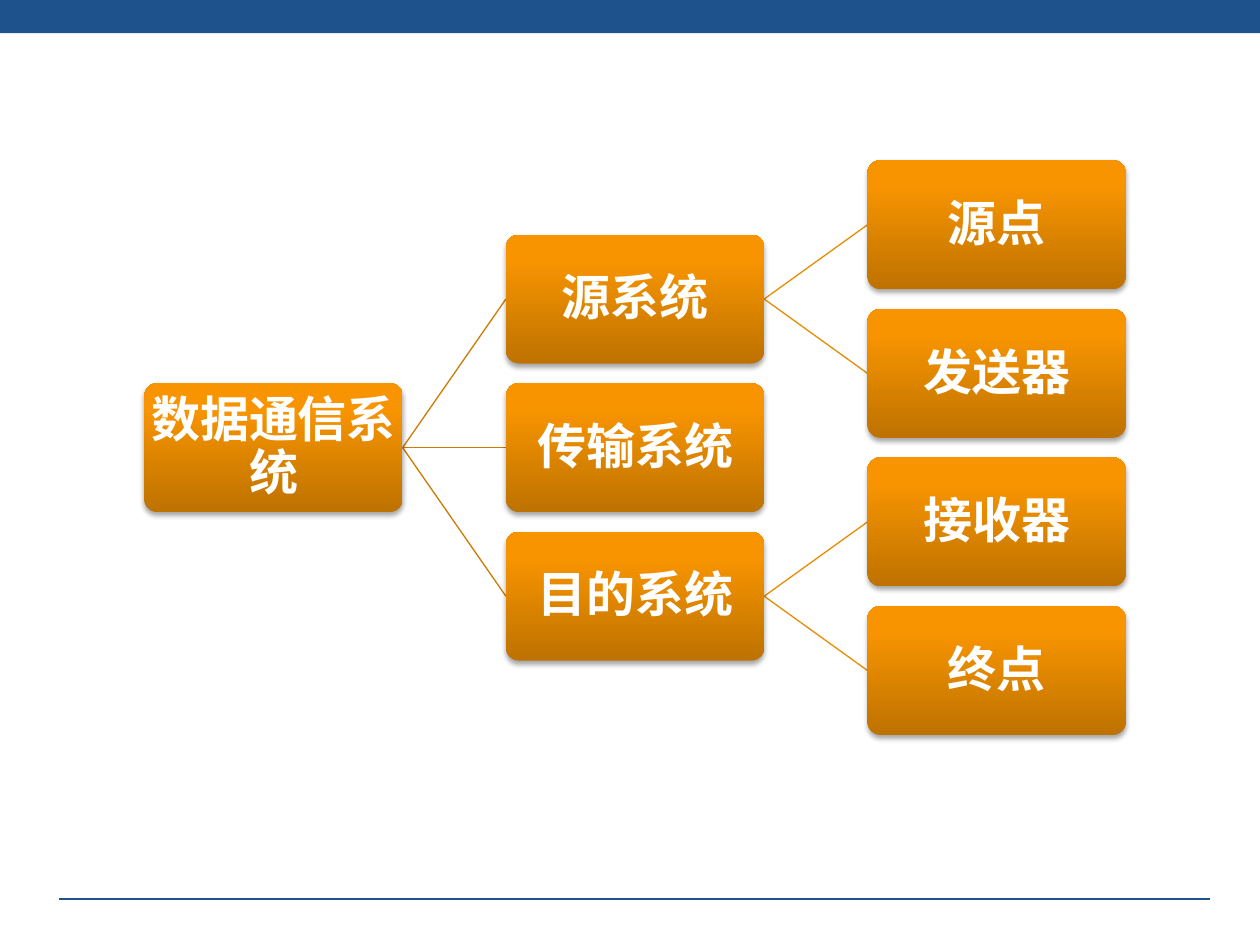
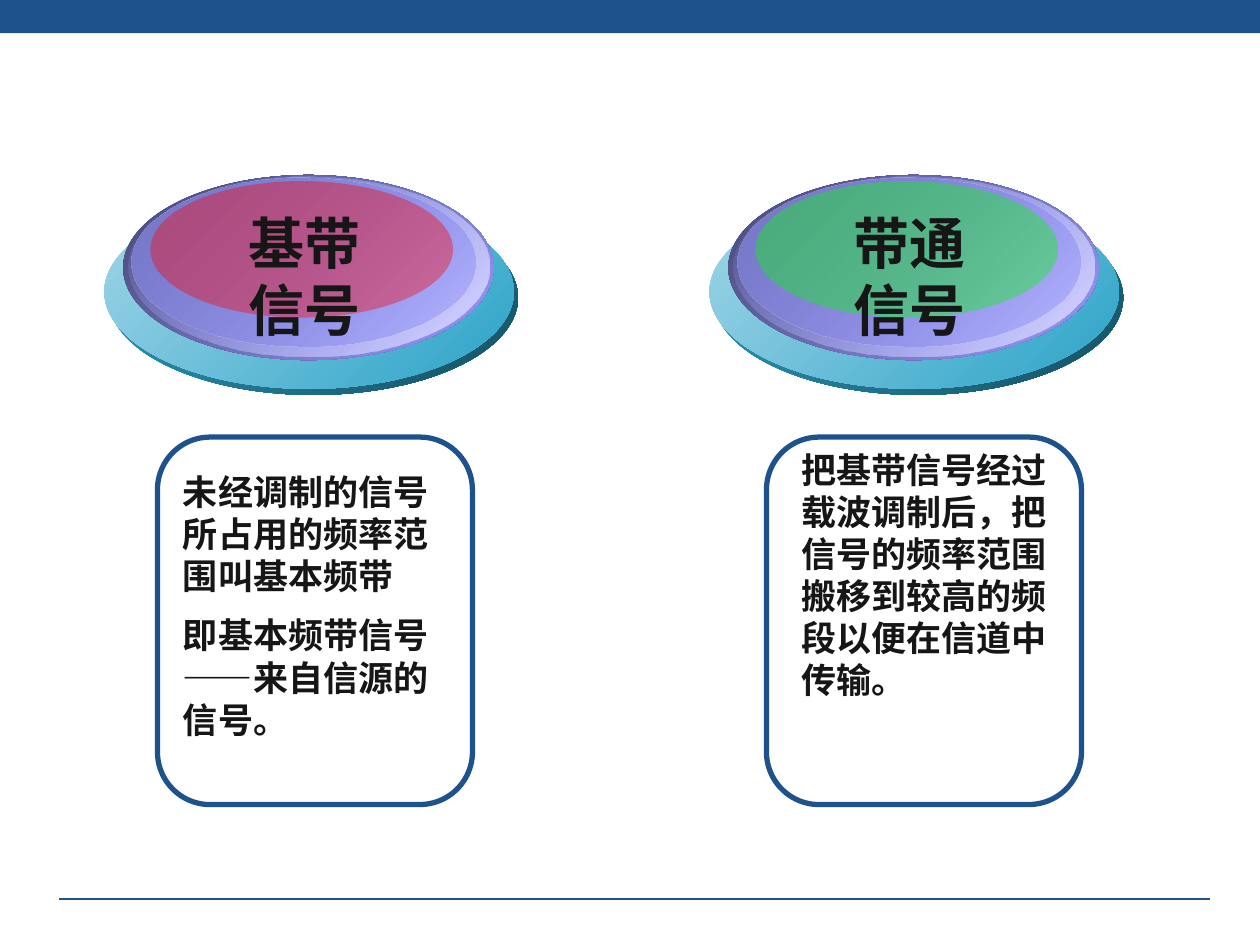
import pptx
import pptx.util
import pptx.dml.color
import pptx.enum.shapes
import pptx.enum.text
import pptx.oxml
import pptx.oxml.ns

Pt = pptx.util.Pt
RGB = pptx.dml.color.RGBColor.from_string
SHAPE = pptx.enum.shapes.MSO_SHAPE
STRAIGHT = pptx.enum.shapes.MSO_CONNECTOR.STRAIGHT
ALIGN = pptx.enum.text.PP_ALIGN
ANCHOR = pptx.enum.text.MSO_ANCHOR
qn = pptx.oxml.ns.qn
NAMESPACE = pptx.oxml.ns.nsdecls("a")

COLORS = {
    "blue": "1D528D", "white": "FFFFFF", "ink": "161616", "black": "000000",
    "orange_dark": "BE7200", "orange": "F79400", "orange_light": "F89500",
    "trunk": "CC7B00", "branch": "E78B00",
    "teal_light": "A1D6E7", "teal": "2CA3C8", "teal_dark": "154F61",
    "violet_dark": "474776", "violet_mid": "7979CA", "violet": "9999FF",
    "violet_light": "DBDBFF", "red": "FF0000", "green": "00FF00",
}


def add_filled(page, kind, bounds, stops, angle=0):
    """Add a shape without outline; stops are (position, colour, opacity)."""
    shape = page.shapes.add_shape(kind, *map(Pt, bounds))
    shape.shadow.inherit = False
    shape.line.fill.background()
    shape.fill.background()
    tints = [f'<a:srgbClr val="{COLORS[color]}"><a:alpha val="{opacity * 1000}"/></a:srgbClr>'
             for _, color, opacity in stops]
    if len(stops) == 1:
        fill = f"<a:solidFill {NAMESPACE}>{tints[0]}</a:solidFill>"
    else:
        marks = "".join(f'<a:gs pos="{stop[0] * 1000}">{tint}</a:gs>'
                        for stop, tint in zip(stops, tints))
        fill = (f'<a:gradFill {NAMESPACE} rotWithShape="1"><a:gsLst>{marks}</a:gsLst>'
                f'<a:lin ang="{angle * 60000}" scaled="0"/></a:gradFill>')
    properties = shape._element.spPr
    properties.replace(properties.find(qn("a:noFill")), pptx.oxml.parse_xml(fill))
    return shape


def write(shape, texts, size, pitch, color, align, margins=(7.2, 3.6)):
    """Fill a shape with bold paragraphs of one style."""
    frame = shape.text_frame
    frame.word_wrap = True
    frame.margin_left = frame.margin_right = Pt(margins[0])
    frame.margin_top = frame.margin_bottom = Pt(margins[1])
    frame.text = "\n".join(texts)
    for para in frame.paragraphs:
        para.alignment = align
        para.line_spacing = Pt(pitch)
        para.font.name = "Arial"
        para.font.size = Pt(size)
        para.font.bold = True
        para.font.color.rgb = RGB(COLORS[color])
    for para in frame.paragraphs[:-1]:
        para.space_after = Pt(10)


deck = pptx.Presentation()
deck.slide_width, deck.slide_height = Pt(720), Pt(540)
tree_page, signal_page = [deck.slides.add_slide(deck.slide_layouts[6]) for _ in range(2)]

# Lines: page, from, to, colour, width; footer rules come first
lines = [(page, (33.8, 513.8), (691.2, 513.8), "blue", 1)
         for page in (tree_page, signal_page)]

# Tree layout: text, column, row, row of the parent
NODE_WIDTH, NODE_HEIGHT = 147.6, 73.7
TREE_LEFT, TREE_TOP, COLUMN_STEP, ROW_STEP = 82.5, 91.6, 206.6, 84.9
nodes = [
    ("数据通信系统", 0, 1.5, None),
    ("源系统", 1, 0.5, 1.5), ("传输系统", 1, 1.5, 1.5), ("目的系统", 1, 2.5, 1.5),
    ("源点", 2, 0, 0.5), ("发送器", 2, 1, 0.5),
    ("接收器", 2, 2, 2.5), ("终点", 2, 3, 2.5),
]
first_middle = TREE_TOP + NODE_HEIGHT / 2
for text, column, row, parent_row in nodes:
    if parent_row is not None:
        left = TREE_LEFT + column * COLUMN_STEP
        start = (left - COLUMN_STEP + NODE_WIDTH, first_middle + parent_row * ROW_STEP)
        end = (left, first_middle + row * ROW_STEP)
        lines.append((tree_page, start, end, "trunk" if column == 1 else "branch", 0.75))

# Top bands
for page in (tree_page, signal_page):
    add_filled(page, SHAPE.RECTANGLE, (0, 0, 720, 18.9), [(0, "blue", 100)])

# Draw footer rules and tree branches
for page, start, end, color, width in lines:
    line = page.shapes.add_connector(STRAIGHT, *map(Pt, start + end))
    line.line.color.rgb = RGB(COLORS[color])
    line.line.width = Pt(width)
    line._element.spPr.append(pptx.oxml.parse_xml(f"<a:effectLst {NAMESPACE}/>"))

# Tree nodes
for text, column, row, _ in nodes:
    bounds = (TREE_LEFT + column * COLUMN_STEP, TREE_TOP + row * ROW_STEP,
              NODE_WIDTH, NODE_HEIGHT)
    node = add_filled(tree_page, SHAPE.ROUNDED_RECTANGLE, bounds,
                      [(0, "orange_dark", 100), (80, "orange", 100),
                       (100, "orange_light", 100)], 270)
    node.adjustments[0] = 0.1
    node._element.spPr.find(qn("a:effectLst")).append(pptx.oxml.parse_xml(
        f'<a:outerShdw {NAMESPACE} blurRad="{Pt(3.1)}" dist="{Pt(1.8)}" dir="5400000" '
        f'rotWithShape="0"><a:srgbClr val="{COLORS["black"]}"><a:alpha val="35000"/>'
        '</a:srgbClr></a:outerShdw>'))
    node.text_frame.vertical_anchor = ANCHOR.MIDDLE
    write(node, [text], 28, 30.3, "white", ALIGN.CENTER, (0.5, 3))

# Signal buttons: bounds from the left disc edge, gradient stops
discs = [
    ((2.4, 114.7, 234, 111), [(0, "teal", 100), (100, "teal_dark", 100)]),
    ((0, 111.2, 234, 111), [(0, "teal_light", 100), (100, "teal", 100)]),
    ((10.8, 100, 211.7, 105.8), [(0, "violet_dark", 100), (100, "violet", 100)]),
    ((13.7, 100.8, 206.5, 103), [(0, "violet", 0), (100, "violet_light", 100)]),
    ((15.8, 101.5, 196.5, 96.5), [(0, "violet_mid", 100), (100, "violet", 48)]),
]
# Signal kinds: name, cap colour, disc left, frame left, text left, text top, texts
signals = [
    ("基带信号", "red", 59.6, 90, 97.5, 265.3,
     ["未经调制的信号所占用的频率范围叫基本频带", "即基本频带信号——来自信源的信号。"]),
    ("带通信号", "green", 405.4, 438, 450.7, 252.7,
     ["把基带信号经过载波调制后，把信号的频率范围搬移到较高的频段以便在信道中传输。"]),
]
for name, cap_color, disc_left, frame_left, text_left, text_top, texts in signals:
    border = signal_page.shapes.add_shape(
        SHAPE.ROUNDED_RECTANGLE, Pt(frame_left), Pt(249.8), Pt(180), Pt(210))
    border.shadow.inherit = False
    border.adjustments[0] = 0.167
    border.fill.background()
    border.line.color.rgb = RGB(COLORS["blue"])
    border.line.width = Pt(3)
    box = signal_page.shapes.add_textbox(Pt(text_left), Pt(text_top), Pt(160.6), Pt(180))
    write(box, texts, 20, 24, "ink", ALIGN.LEFT)

    caps = discs + [((26.3, 103.5, 173, 78), [(0, cap_color, 38)])]
    for (left, top, width, height), stops in caps:
        add_filled(signal_page, SHAPE.OVAL, (disc_left + left, top, width, height), stops, 45)
    label = signal_page.shapes.add_textbox(
        Pt(disc_left + 66.3), Pt(115.4), Pt(96.5), Pt(84))
    write(label, [name], 32, 38.4, "ink", ALIGN.CENTER)

deck.save("out.pptx")
